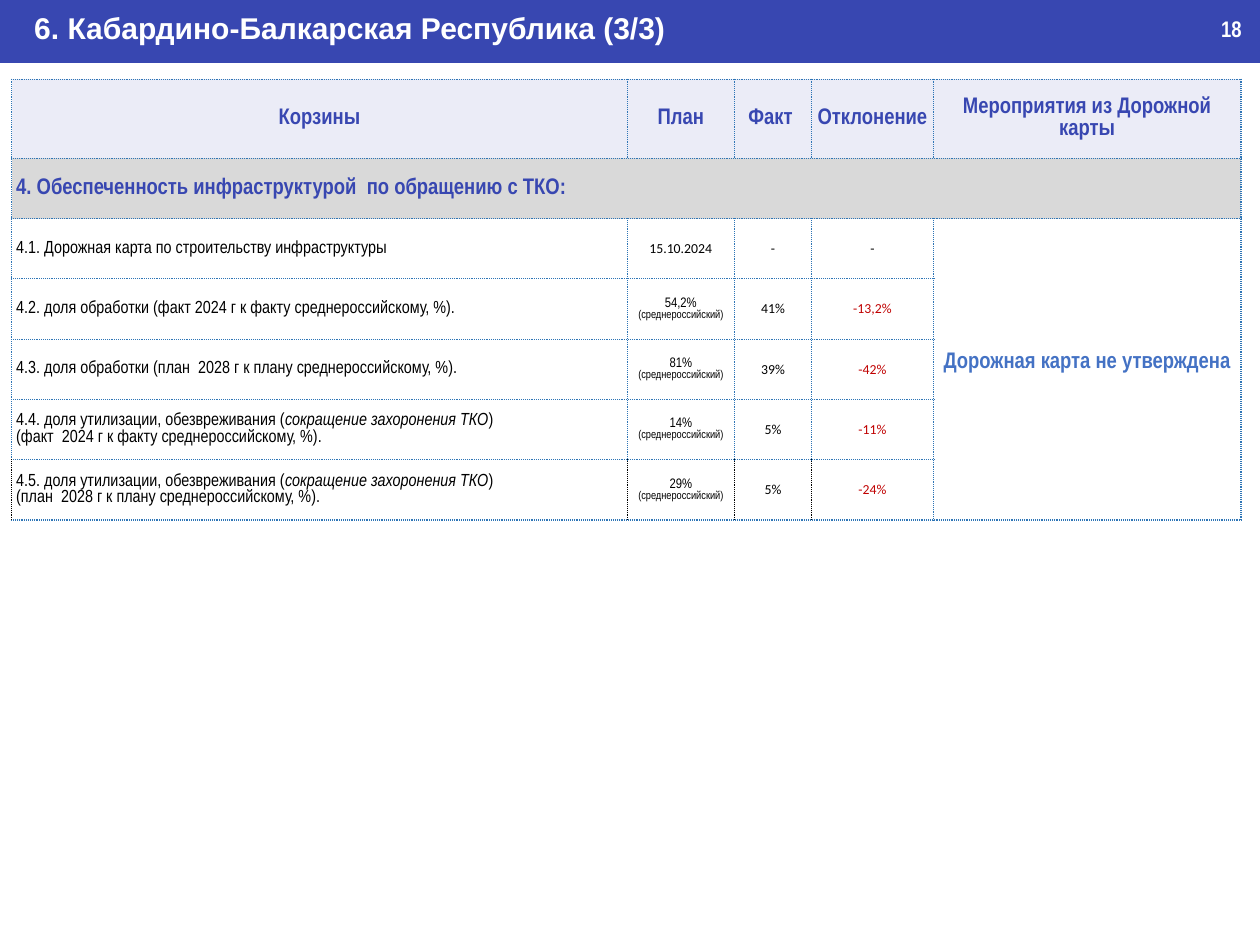
"""Builds the regional waste infrastructure slide with its plan and fact table."""
from dataclasses import dataclass

from lxml.etree import SubElement
from pptx import Presentation
from pptx.dml.color import RGBColor
from pptx.enum.shapes import MSO_SHAPE
from pptx.enum.text import MSO_ANCHOR, PP_ALIGN
from pptx.oxml.ns import qn
from pptx.util import Inches, Pt


@dataclass(frozen=True)
class Theme:
    blue: str = "3847B1"
    pale: str = "EBECF7"
    grey: str = "D9D9D9"
    border: str = "2E75B6"
    accent: str = "4472C4"
    red: str = "C00000"
    black: str = "000000"
    white: str = "FFFFFF"
    title: int = 24
    heading: int = 18
    body: int = 14
    value: int = 11
    note: int = 9
    sans: str = "Arial"
    narrow: str = "Arial Narrow"
    figure: str = "Calibri"


theme = Theme()


def add_text(paragraph, text, size, color, font=theme.narrow, bold=False, italic=False):
    for index, line in enumerate(text.split("\n")):
        if index:
            paragraph.add_line_break()
        run = paragraph.add_run()
        run.text = line
        run.font.size = Pt(size)
        run.font.name = font
        run.font.bold = bold
        run.font.italic = italic
        run.font.color.rgb = RGBColor.from_string(color)


def style_cell(cell, fill=None, centred=True, side_colors=(theme.border, theme.border)):
    cell.vertical_anchor = MSO_ANCHOR.MIDDLE
    cell.margin_left = cell.margin_right = Inches(0.05)
    cell.margin_top = cell.margin_bottom = Inches(0.02)
    properties = cell._tc.get_or_add_tcPr()
    edges = zip(("lnL", "lnR", "lnT", "lnB"), (*side_colors, theme.border, theme.border))
    for edge, color in edges:
        line = SubElement(properties, qn(f"a:{edge}"), w=str(Pt(1)))
        solid = SubElement(line, qn("a:solidFill"))
        SubElement(solid, qn("a:srgbClr"), val=color)
        SubElement(line, qn("a:prstDash"), val="sysDot")
    if fill:
        cell.fill.solid()
        cell.fill.fore_color.rgb = RGBColor.from_string(fill)
    else:
        cell.fill.background()
    paragraph = cell.text_frame.paragraphs[0]
    paragraph.alignment = PP_ALIGN.CENTER if centred else PP_ALIGN.LEFT
    return paragraph


prs = Presentation()
prs.slide_width, prs.slide_height = Inches(14), Inches(10.5)
slide = prs.slides.add_slide(prs.slide_layouts[6])

banner = slide.shapes.add_shape(MSO_SHAPE.RECTANGLE, 0, 0, prs.slide_width, Inches(0.7))
banner.shadow.inherit = False
banner.fill.solid()
banner.fill.fore_color.rgb = RGBColor.from_string(theme.blue)
banner.line.fill.background()

title = slide.shapes.add_textbox(Inches(-0.01), Inches(0.06), Inches(13.99), Inches(0.5)).text_frame
title.word_wrap = True
title.margin_left = Inches(0.39)
add_text(title.paragraphs[0], "6. Кабардино-Балкарская Республика (3/3)",
         theme.title, theme.white, theme.sans, bold=True)

page = slide.shapes.add_textbox(Inches(13.47), Inches(0.12), Inches(0.52), Inches(0.4)).text_frame
page.word_wrap = True
add_text(page.paragraphs[0], "18", theme.heading, theme.white, bold=True)

headings = ["Корзины", "План", "Факт ", "Отклонение", "Мероприятия из Дорожной карты"]
column_widths = [6.84, 1.19, 0.86, 1.35, 3.42]
recycling = ["доля утилизации, обезвреживания (", "сокращение захоронения ТКО"]
baskets = [
    (["4.1. Дорожная карта по строительству инфраструктуры"], "15.10.2024", "-", "-"),
    (["4.2. доля обработки (факт 2024 г к факту среднероссийскому, %)."], "54,2%", "41%", "-13,2%"),
    (["4.3. доля обработки (план  2028 г к плану среднероссийскому, %)."], "81%", "39%", "-42%"),
    (["4.4. " + recycling[0], recycling[1], ") \n(факт  2024 г к факту среднероссийскому, %)."],
     "14%", "5%", "-11%"),
    (["4.5. " + recycling[0], recycling[1], ") \n(план  2028 г к плану среднероссийскому, %)."],
     "29%", "5%", "-24%"),
]

table = slide.shapes.add_table(len(baskets) + 2, len(headings), Inches(0.13), Inches(0.88),
                               Inches(sum(column_widths)), Inches(4.9)).table
table.first_row = table.horz_banding = False
for column, width in zip(table.columns, column_widths):
    column.width = Inches(width)
for index, row in enumerate(table.rows):
    row.height = Inches(0.67 if index else 0.88)

for column, heading in enumerate(headings):
    paragraph = style_cell(table.cell(0, column), theme.pale)
    add_text(paragraph, heading, theme.heading, theme.blue, bold=True)

table.cell(1, 0).merge(table.cell(1, 4))
table.cell(2, 4).merge(table.cell(6, 4))

for column in range(len(headings)):
    section = style_cell(table.cell(1, column), theme.grey, centred=False)
    if column == 0:
        add_text(section, "4. Обеспеченность инфраструктурой  по обращению с ТКО:",
                 theme.heading, theme.blue, bold=True)

for row, (label, plan, fact, deviation) in enumerate(baskets, start=2):
    last = row == len(baskets) + 1
    left = theme.black if last else theme.border
    basket = style_cell(table.cell(row, 0), centred=False, side_colors=(left, left))
    for part, text in enumerate(label):
        add_text(basket, text, theme.body, theme.black, italic=part == 1)

    dated = row == 2
    target = style_cell(table.cell(row, 1), side_colors=(left, left))
    add_text(target, plan, theme.value, theme.black, theme.figure if dated else theme.narrow)
    if not dated:
        average = table.cell(row, 1).text_frame.add_paragraph()
        average.alignment = PP_ALIGN.CENTER
        add_text(average, "(среднероссийский)", theme.note, theme.black)

    actual = style_cell(table.cell(row, 2), side_colors=(left, left))
    add_text(actual, fact, theme.value, theme.black, theme.figure)
    gap = style_cell(table.cell(row, 3), side_colors=(left, theme.border))
    add_text(gap, deviation, theme.value, theme.black if dated else theme.red, theme.figure)

    measure = style_cell(table.cell(row, 4))
    if dated:
        table.cell(row, 4).margin_bottom = Inches(0.17)
        add_text(measure, "Дорожная карта не утверждена", theme.heading, theme.accent, bold=True)

prs.save("out.pptx")
